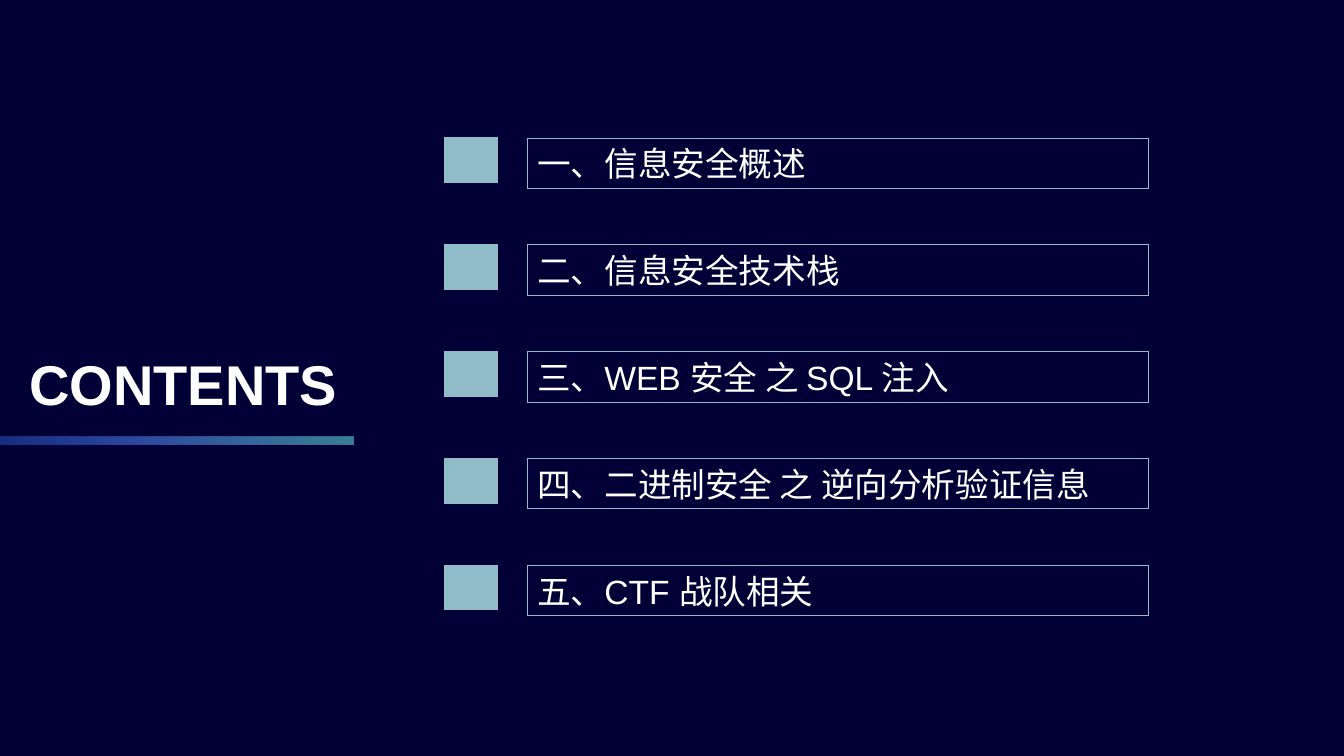
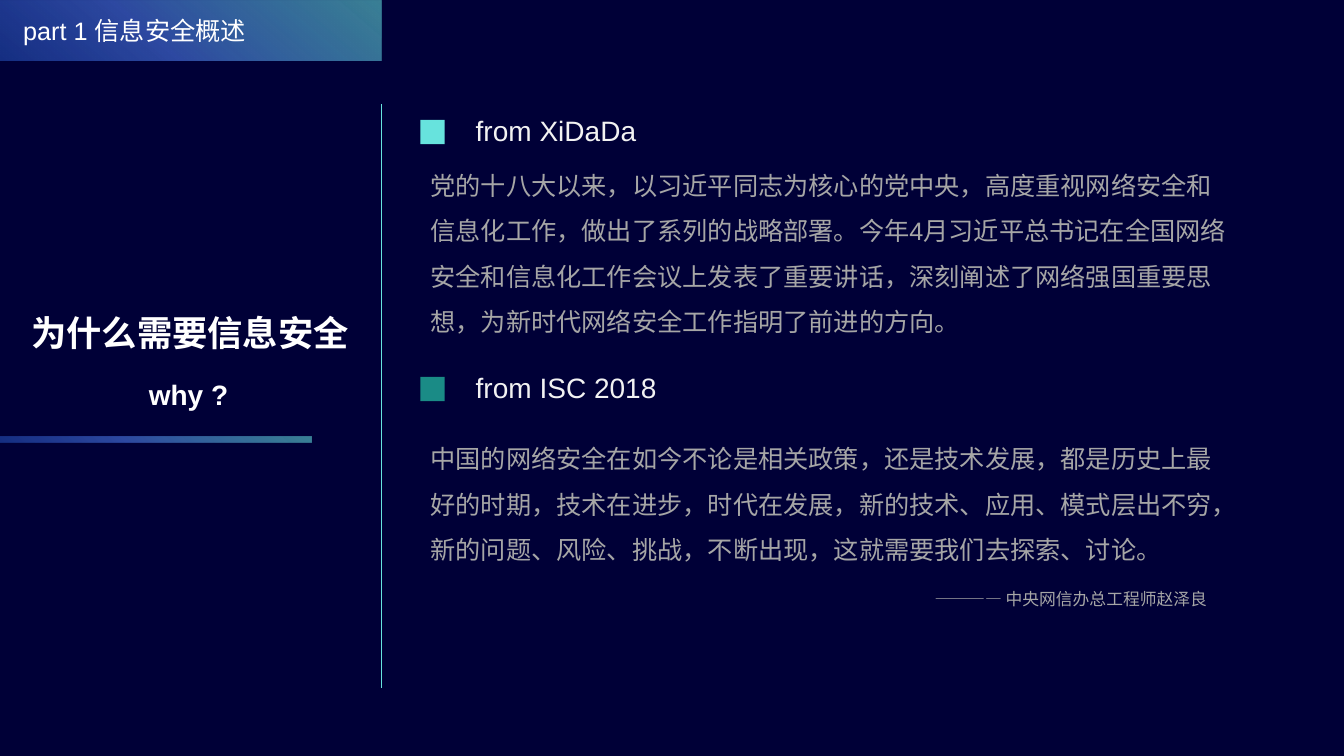
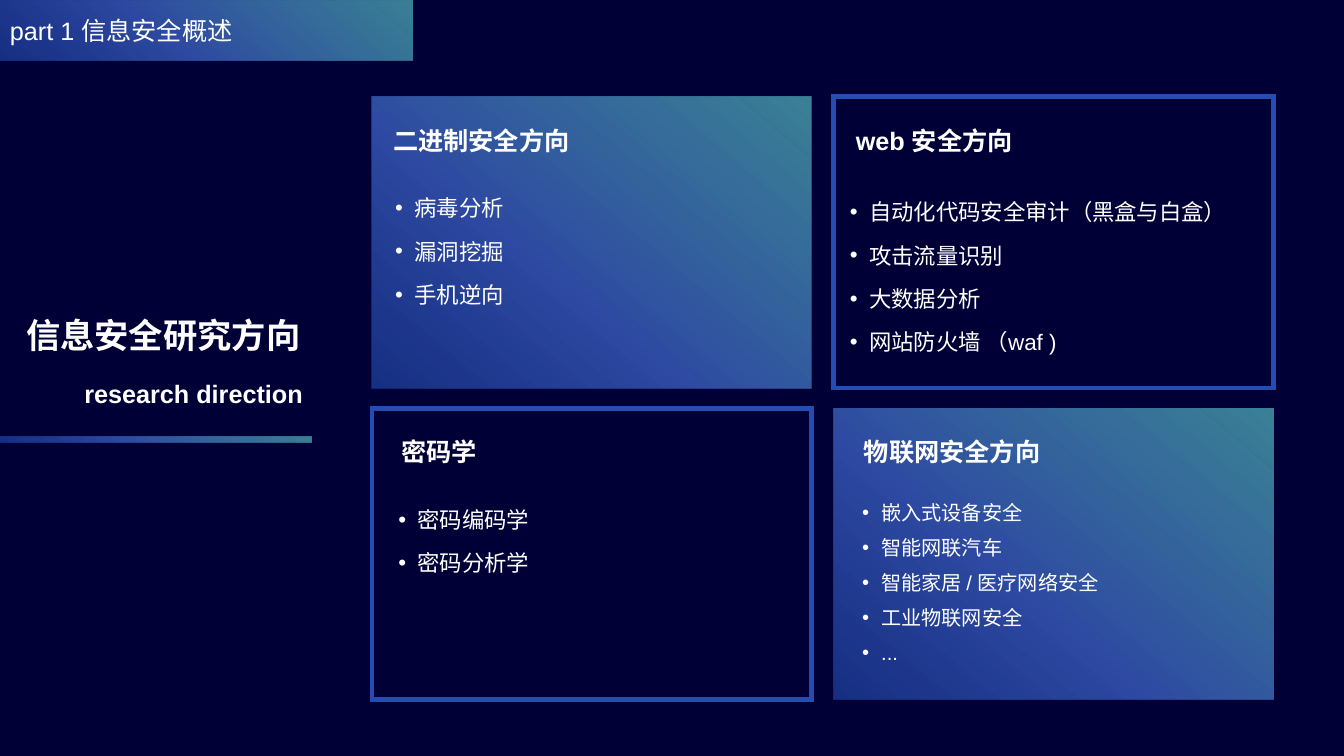
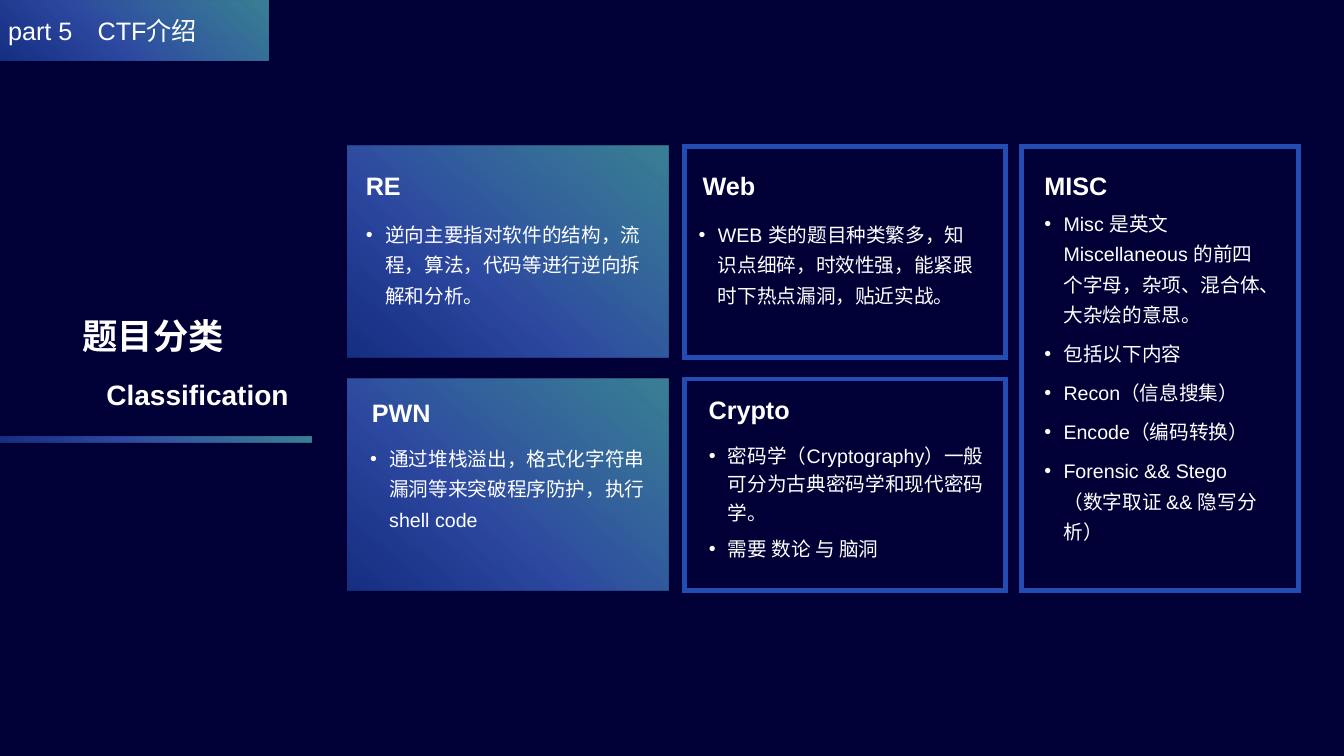
from pptx import Presentation
from pptx.dml.color import RGBColor
from pptx.enum.shapes import MSO_CONNECTOR as Wire, MSO_SHAPE as Form
from pptx.enum.text import MSO_ANCHOR as Anchor, MSO_AUTO_SIZE as Fit, PP_ALIGN as Align
from pptx.oxml import parse_xml
from pptx.oxml.ns import nsdecls, qn
from pptx.util import Inches, Pt

NAVY = RGBColor(0x00, 0x00, 0x37)
WHITE = RGBColor(0xFF, 0xFF, 0xFF)
PALE = RGBColor(0xF2, 0xF2, 0xF2)
GRAY = RGBColor(0xA6, 0xA6, 0xA6)
STEEL = RGBColor(0x90, 0xBC, 0xC9)
AQUA = RGBColor(0x67, 0xE3, 0xDD)
TEAL = RGBColor(0x1A, 0x8B, 0x86)
SKY = RGBColor(0x46, 0x70, 0xDA)
BLUE = RGBColor(0x24, 0x4D, 0xB4)
FONT = "Arial"
STOPS = [(0, AQUA, 56), (60, SKY, 65), (100, BLUE, 60)]
HANG = 0.19


def blend(shape):
    stops = "".join(
        f'<a:gs pos="{pos * 1000}"><a:srgbClr val="{color}">'
        f'<a:alpha val="{alpha * 1000}"/></a:srgbClr></a:gs>'
        for pos, color, alpha in STOPS)
    shape.fill.background()
    props = shape._element.spPr
    props.replace(props.find(qn("a:noFill")), parse_xml(
        f'<a:gradFill {nsdecls("a")} rotWithShape="1"><a:gsLst>{stops}</a:gsLst>'
        f'<a:lin ang="{130 * 60000}" scaled="0"/></a:gradFill>'))


def place(shape, box):
    shape.left, shape.top, shape.width, shape.height = [Inches(n) for n in box]


def rect(slide, box, fill=None, line=None, width=1):
    shape = slide.shapes.add_shape(Form.RECTANGLE, *[Inches(n) for n in box])
    shape.shadow.inherit = False
    if fill == "blend":
        blend(shape)
    elif fill:
        shape.fill.solid()
        shape.fill.fore_color.rgb = fill
    else:
        shape.fill.background()
    if line:
        shape.line.color.rgb = line
        shape.line.width = Pt(width)
        shape._element.spPr.find(qn("a:ln")).append(
            parse_xml(f'<a:miter {nsdecls("a")} lim="800000"/>'))
    else:
        shape.line.fill.background()
    return shape


def label(slide, box):
    return slide.shapes.add_textbox(*[Inches(n) for n in box])


def body(slide, pool, box):
    shape = next(pool, None)
    if shape is None:
        return label(slide, box)
    slide.shapes._spTree.append(shape._element)
    place(shape, box)
    return shape


def pool_of(slide):
    return iter([p for p in slide.placeholders if p.placeholder_format.idx > 0])


def write(shape, lines, size, color=WHITE, bold=False, align=Align.LEFT,
          space=1, after=0, dot=False, anchor=Anchor.TOP):
    frame = shape.text_frame
    frame.word_wrap = True
    frame.auto_size = Fit.NONE
    frame.vertical_anchor = anchor
    marks = [f'<a:buFont {{}} typeface="{FONT}"/>', '<a:buChar {} char="•"/>']
    for n, line in enumerate(lines):
        para = frame.add_paragraph() if n else frame.paragraphs[0]
        para.alignment = align
        para.line_spacing = space
        para.space_before = Pt(0)
        para.space_after = Pt(after)
        props = para._p.get_or_add_pPr()
        hang = Inches(HANG) if dot else 0
        props.set("marL", str(hang))
        props.set("indent", str(-hang))
        for mark in marks if dot else ["<a:buNone {}/>"]:
            props.append(parse_xml(mark.format(nsdecls("a"))))
        run = para.add_run()
        run.text = line
        run.font.name = FONT
        run.font.size = Pt(size)
        run.font.bold = bold
        run.font.color.rgb = color
    return frame


def side(slide, title, box, size, bar, sub=None, left=0, small=20):
    rect(slide, (0, 4.33, *bar), "blend")
    place(slide.shapes.title, box)
    write(slide.shapes.title, [title], size, bold=True)
    if sub:
        write(label(slide, (left, 3.7, 2.48, 0.44)), [sub], small,
              bold=True, align=Align.CENTER)


def band(slide, text, width, inset):
    shape = rect(slide, (0, 0.01, width, 0.59), "blend")
    shape.text_frame.margin_left = Inches(inset)
    write(shape, [text], 18, anchor=Anchor.MIDDLE)


def entry(slide, left, top, text):
    rect(slide, (left, top, 0.52, 0.44), STEEL, STEEL)
    frame = rect(slide, (left + 0.82, top, 6.16, 0.5), None, STEEL, 0.75)
    write(frame, [text], 24, anchor=Anchor.MIDDLE)


def quote(slide, pool, left, top, color, head, text, drop, height):
    rect(slide, (left, top, 0.24, 0.24), color)
    write(label(slide, (left + 0.45, top - 0.12, 3.07, 0.44)), [head], 20,
          PALE, anchor=Anchor.MIDDLE)
    shape = body(slide, pool, (left, top + drop, 8.11, height))
    return write(shape, text, 18, GRAY, space=1.5)


def card(slide, pool, box, full, head, spot, items, inset, size,
         space=1.3, trim=0.22):
    left, top, width, height = box
    if full:
        rect(slide, box, "blend")
    else:
        rect(slide, box, None, BLUE, 3.5)
    write(label(slide, (left + spot[0], top + spot[1], width - trim, 0.5)),
          [head], 18, bold=True, space=1.3)
    area = (left + inset[0], top + inset[1], width - trim, height - inset[1] - 0.1)
    write(body(slide, pool, area), items, size, space=space, after=6, dot=True)


def contents(slide):
    side(slide, "CONTENTS", (0.19, 3.42, 3.5, 0.77), 40, (3.51, 0.08))
    items = ["一、信息安全概述", "二、信息安全技术栈", "三、WEB 安全 之 SQL 注入",
             "四、二进制安全 之 逆向分析验证信息", "五、CTF 战队相关"]
    for n, text in enumerate(items):
        entry(slide, 4.41, 1.37 + n * 1.06, text)


def reasons(slide):
    side(slide, "为什么需要信息安全", (0.21, 3.04, 3.5, 0.77), 25.2, (3.09, 0.06),
         "why ?", 0.63)
    band(slide, "part 1 信息安全概述", 3.78, 0.23)
    rule = slide.shapes.add_connector(
        Wire.STRAIGHT, Inches(3.78), Inches(1.03), Inches(3.78), Inches(6.83))
    rule.line.color.rgb = AQUA
    rule.line.width = Pt(0.5)
    rule._element.spPr.append(parse_xml(f'<a:effectLst {nsdecls("a")}/>'))
    pool = pool_of(slide)
    quote(slide, pool, 4.17, 1.19, AQUA, "from XiDaDa", [
        "党的十八大以来，以习近平同志为核心的党中央，高度重视网络安全和信息化工作，"
        "做出了系列的战略部署。今年4月习近平总书记在全国网络安全和信息化工作会议上"
        "发表了重要讲话，深刻阐述了网络强国重要思想，为新时代网络安全工作指明了前进的方向。"],
        0.3, 1.95)
    frame = quote(slide, pool, 4.17, 3.74, TEAL, "from ISC 2018", [
        "中国的网络安全在如今不论是相关政策，还是技术发展，都是历史上最好的时期，"
        "技术在进步，时代在发展，新的技术、应用、模式层出不穷，新的问题、风险、挑战，"
        "不断出现，这就需要我们去探索、讨论。",
        "———— 中央网信办总工程师赵泽良"], 0.46, 2.03)
    credit = frame.paragraphs[1]
    credit.space_before = Pt(10)
    credit.runs[0].font.size = Pt(12)
    credit._p.pPr.set("marL", str(Inches(5)))


def fields(slide):
    side(slide, "信息安全研究方向", (0.16, 3.07, 3.26, 0.57), 24.5, (3.09, 0.06),
         "research direction", 0.68, 18)
    band(slide, "part 1 信息安全概述", 4.09, 0.1)
    cards = [
        (True, "二进制安全方向", (0.11, 0.14),
         ["病毒分析", "漏洞挖掘", "手机逆向"], (0.13, 0.84), 16, 1.3),
        (False, "web 安全方向", (0.12, 0.14),
         ["自动化代码安全审计（黑盒与白盒）", "攻击流量识别", "大数据分析",
          "网站防火墙 （waf )"], (0.06, 0.88), 16, 1.3),
        (False, "密码学", (0.19, 0.14),
         ["密码编码学", "密码分析学"], (0.16, 0.84), 16, 1.3),
        (True, "物联网安全方向", (0.2, 0.14),
         ["嵌入式设备安全", "智能网联汽车", "智能家居 / 医疗网络安全",
          "工业物联网安全", "..."], (0.18, 0.84), 14.4, 1.1),
    ]
    pool = pool_of(slide)
    for n, data in enumerate(cards):
        row, col = divmod(n, 2)
        card(slide, pool, (3.69 + col * 4.58, 0.96 + row * 3.09, 4.36, 2.89), *data)


def topics(slide):
    side(slide, "题目分类", (0.72, 3.07, 2.48, 0.57), 25.2, (3.09, 0.06),
         "Classification", 0.72)
    band(slide, "part 5　CTF介绍", 2.66, 0.08)
    cards = [
        (True, "RE", (0.08, 0.1),
         ["逆向主要指对软件的结构，流程，算法，代码等进行逆向拆解和分析。"],
         (0.08, 0.64), 14),
        (False, "Web", (0.08, 0.1),
         ["WEB 类的题目种类繁多，知识点细碎，时效性强，能紧跟时下热点漏洞，贴近实战。"],
         (0.04, 0.64), 14),
        (True, "PWN", (0.14, 0.04),
         ["通过堆栈溢出，格式化字符串漏洞等来突破程序防护，执行shell code"],
         (0.12, 0.55), 14),
        (False, "Crypto", (0.14, 0.01),
         ["密码学（Cryptography）一般可分为古典密码学和现代密码学。",
          "需要 数论 与 脑洞"], (0.14, 0.55), 14, 1.2),
    ]
    pool = pool_of(slide)
    for n, data in enumerate(cards):
        row, col = divmod(n, 2)
        card(slide, pool, (3.45 + col * 3.34, 1.45 + row * 2.31, 3.18, 2.1), *data)
    card(slide, pool, (10.13, 1.45, 2.75, 4.41), False, "MISC", (0.13, 0.1),
         ["Misc 是英文 Miscellaneous 的前四个字母，杂项、混合体、大杂烩的意思。",
          "包括以下内容", "Recon（信息搜集）", "Encode（编码转换）",
          "Forensic && Stego（数字取证 && 隐写分析）"], (0.13, 0.53), 14, trim=0.35)


def main():
    deck = Presentation()
    deck.slide_width, deck.slide_height = Inches(13.33), Inches(7.5)
    ground = deck.slide_master.background.fill
    ground.solid()
    ground.fore_color.rgb = NAVY
    for layout, build in [(5, contents), (3, reasons), (4, fields), (4, topics)]:
        build(deck.slides.add_slide(deck.slide_layouts[layout]))
    deck.save("out.pptx")


if __name__ == "__main__":
    main()
